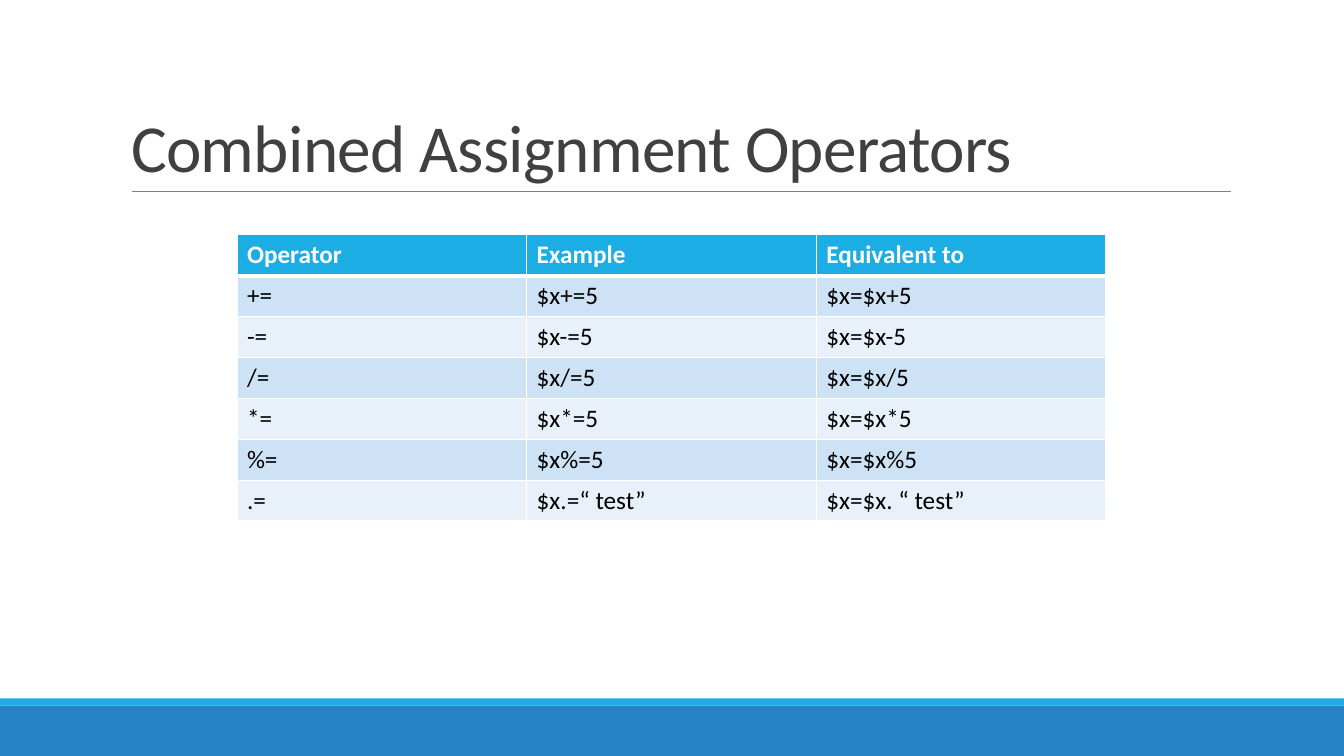
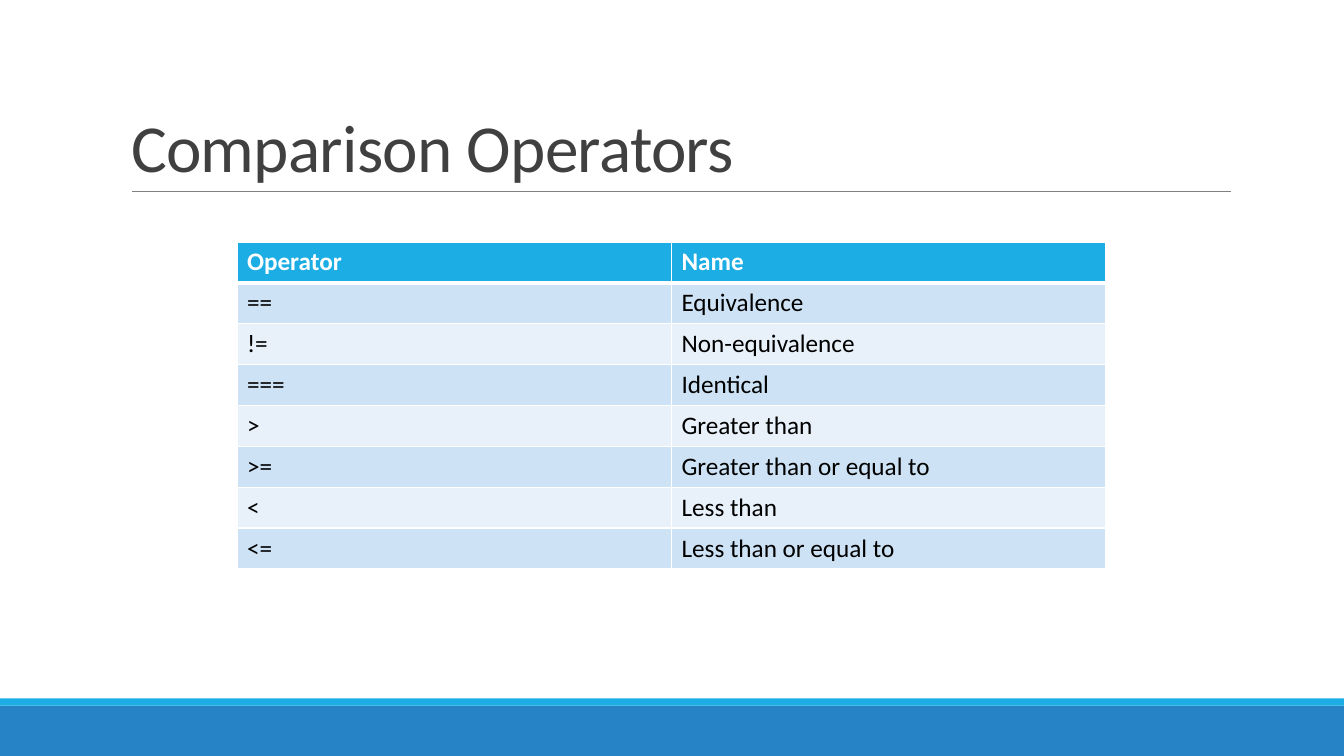
from dataclasses import dataclass

from lxml.etree import SubElement
from pptx import Presentation
from pptx.dml.color import RGBColor
from pptx.enum.shapes import MSO_CONNECTOR as Connector, MSO_SHAPE as Shape
from pptx.enum.text import MSO_ANCHOR as Anchor, MSO_AUTO_SIZE as AutoSize, PP_ALIGN as Align
from pptx.oxml.ns import qn
from pptx.slide import Slide
from pptx.table import _Cell as Cell
from pptx.text.text import TextFrame
from pptx.util import Inches, Pt

FONT = "Calibri"
WHITE, BLACK = "FFFFFF", "000000"
TITLE_GRAY, RULE_GRAY = "404040", "808080"
SKY, BLUE = "1CADE4", "2683C6"
ROW_TINTS = ("CDE3F5", "E8F1FA")
SLIDE_WIDTH, SLIDE_HEIGHT = 13.33, 7.5
TABLE_LEFT, TABLE_WIDTH = 2.35, 8.62
TITLE_ONLY = 5


@dataclass(frozen=True)
class Band:
    """A full-width strip at the foot of the slide."""
    top: float
    height: float
    color: str


@dataclass(frozen=True)
class OperatorPage:
    """A title with one table; the first row is the header."""
    title: str
    top: float
    height: float
    rows: tuple[tuple[str, ...], ...]


BANDS = (Band(7, 0.5, BLUE), Band(6.93, 0.07, SKY))

PAGES = (
    OperatorPage("Combined Assignment Operators", 2.33, 2.84, (
        ("Operator", "Example", "Equivalent to"),
        ("+=", "$x+=5", "$x=$x+5"),
        ("-=", "$x-=5", "$x=$x-5"),
        ("/=", "$x/=5", "$x=$x/5"),
        ("*=", "$x*=5", "$x=$x*5"),
        ("%=", "$x%=5", "$x=$x%5"),
        (".=", "$x.=“ test”", "$x=$x. “ test”"),
    )),
    OperatorPage("Comparison Operators", 2.4, 3.24, (
        ("Operator", "Name"),
        ("==", "Equivalence"),
        ("!=", "Non-equivalence"),
        ("===", "Identical"),
        (">", "Greater than"),
        (">=", "Greater than or equal to"),
        ("<", "Less than"),
        ("<=", "Less than or equal to"),
    )),
)


def rgb(color: str) -> RGBColor:
    """Turn a hex string into a colour."""
    return RGBColor.from_string(color)


def write(frame: TextFrame, text: str, *, size: float, color: str, bold: bool = False,
          line_spacing: float = 1.0, tracking: float = 0) -> None:
    """Put left-aligned, formatted text into a frame."""
    paragraph = frame.paragraphs[0]
    paragraph.alignment = Align.LEFT
    paragraph.line_spacing = line_spacing
    run = paragraph.add_run()
    run.text = text
    run.font.name, run.font.size, run.font.bold = FONT, Pt(size), bold
    run.font.color.rgb = rgb(color)
    if tracking:
        run.font._element.set("spc", str(round(tracking * 100)))


def add_decor(slide: Slide) -> None:
    """Draw the foot bands and the rule under the title."""
    for band in BANDS:
        strip = slide.shapes.add_shape(Shape.RECTANGLE, 0, Inches(band.top),
                                       Inches(SLIDE_WIDTH), Inches(band.height))
        strip.shadow.inherit = False
        strip.fill.solid()
        strip.fill.fore_color.rgb = rgb(band.color)
        strip.line.fill.background()
    rule = slide.shapes.add_connector(Connector.STRAIGHT, Inches(1.31), Inches(1.9),
                                      Inches(12.21), Inches(1.9))
    rule.line.color.rgb = rgb(RULE_GRAY)
    rule.line.width = Pt(0.5)
    SubElement(rule._element.spPr, qn("a:effectLst"))


def add_title(slide: Slide, text: str) -> None:
    """Place and fill the title placeholder."""
    title = slide.shapes.title
    title.left, title.top = Inches(1.2), Inches(0.31)
    title.width, title.height = Inches(11), Inches(1.59)
    frame = title.text_frame
    frame.word_wrap = True
    frame.auto_size = AutoSize.NONE
    frame.vertical_anchor = Anchor.BOTTOM
    write(frame, text, size=48, color=TITLE_GRAY, line_spacing=0.85, tracking=-0.5)


def set_borders(cell: Cell, top: float, bottom: float) -> None:
    """Give a cell white borders, with its own top and bottom widths."""
    properties = cell._tc.get_or_add_tcPr()
    for side, width in (("L", 1), ("R", 1), ("T", top), ("B", bottom)):
        border = SubElement(properties, qn(f"a:ln{side}"), w=str(Pt(width)))
        fill = SubElement(border, qn("a:solidFill"))
        SubElement(fill, qn("a:srgbClr"), val=WHITE)


def add_operator_table(slide: Slide, page: OperatorPage) -> None:
    """Draw a table with equal columns, a bold header and tinted rows."""
    row_count, column_count = len(page.rows), len(page.rows[0])
    table = slide.shapes.add_table(row_count, column_count, Inches(TABLE_LEFT), Inches(page.top),
                                   Inches(TABLE_WIDTH), Inches(page.height)).table
    table.horz_banding = False
    for r, row in enumerate(page.rows):
        header = r == 0
        for c, text in enumerate(row):
            cell = table.cell(r, c)
            set_borders(cell, top=3 if r == 1 else 1, bottom=3 if header else 1)
            cell.fill.solid()
            cell.fill.fore_color.rgb = rgb(SKY if header else ROW_TINTS[(r - 1) % 2])
            write(cell.text_frame, text, size=18, color=WHITE if header else BLACK, bold=header)


def build() -> None:
    """Build and save the presentation."""
    deck = Presentation()
    deck.slide_width, deck.slide_height = Inches(SLIDE_WIDTH), Inches(SLIDE_HEIGHT)
    for page in PAGES:
        slide = deck.slides.add_slide(deck.slide_layouts[TITLE_ONLY])
        add_decor(slide)
        add_title(slide, page.title)
        add_operator_table(slide, page)
    deck.save("out.pptx")


build()
